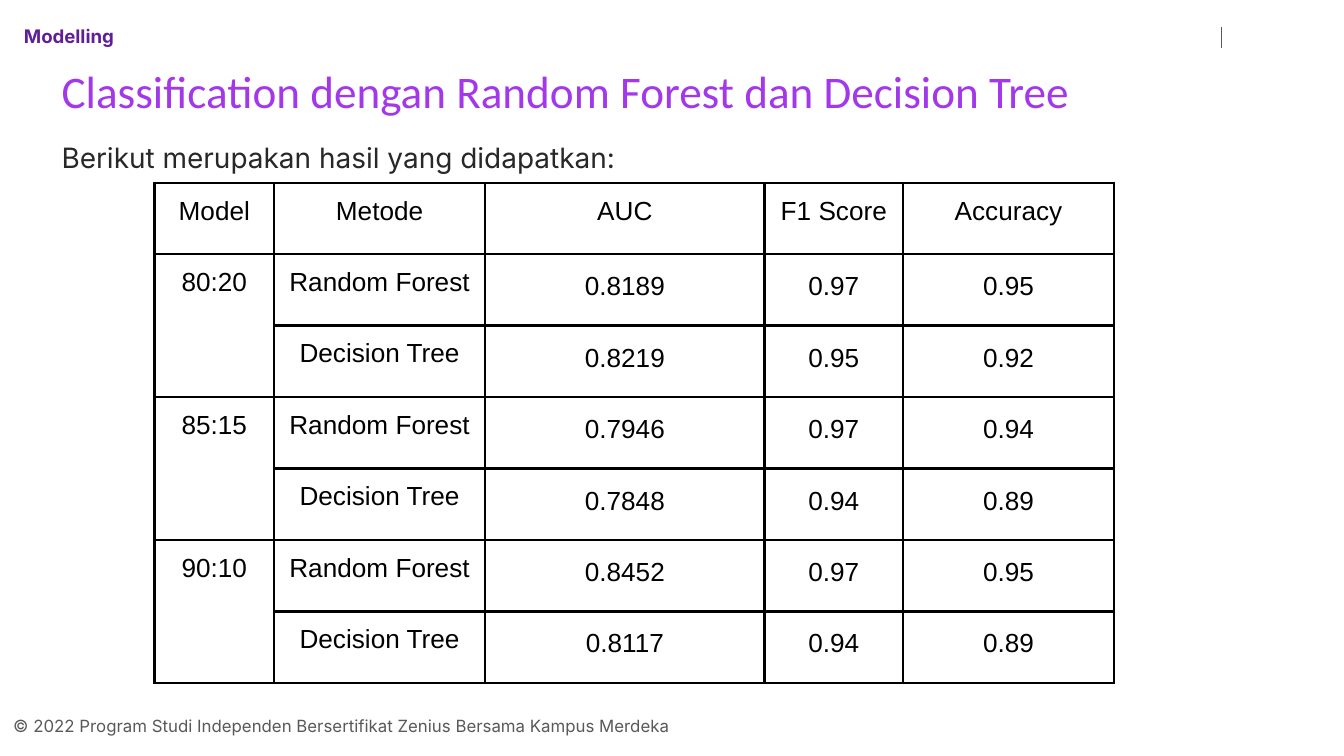
from lxml import etree
from pptx import Presentation
from pptx import util as u
from pptx.dml.color import RGBColor
from pptx.enum import shapes, text
from pptx.oxml import ns

WIDE, HIGH = u.Inches(10), u.Inches(5.625)
COL, ROW = WIDE / 100, HIGH / 100  # grid of 100 columns by 100 rows
PAD = u.Inches(0.1)

BLACK = RGBColor(0x00, 0x00, 0x00)
GRAY = RGBColor(0x59, 0x59, 0x59)
INK = RGBColor(0x28, 0x28, 0x28)
PLUM = RGBColor(0x60, 0x1F, 0x99)
VIOLET = RGBColor(0xA3, 0x38, 0xEB)

HEADS = ["Model", "Metode", "AUC", "F1 Score", "Accuracy"]
WIDTHS = [8.9, 15.7, 20.8, 10.3, 15.7]
METHODS = ["Random Forest", "Decision Tree"]
SCORES = {
    "80:20": [("0.8189", "0.97", "0.95"), ("0.8219", "0.95", "0.92")],
    "85:15": [("0.7946", "0.97", "0.94"), ("0.7848", "0.94", "0.89")],
    "90:10": [("0.8452", "0.97", "0.95"), ("0.8117", "0.94", "0.89")],
}


def place(box, left, top, wide, high):
    """Turn grid units counted from the box's corner into slide lengths."""
    return [round(n) for n in ((box[0] + left) * COL, (box[1] + top) * ROW,
                               wide * COL, high * ROW)]


def style(para, words, name, size, color, bold=False):
    para.text = words
    font = para.font
    font.name, font.size, font.bold = name, u.Pt(size), bold
    font.color.rgb = color


def pad(item):
    item.margin_left = item.margin_right = PAD
    item.margin_top = item.margin_bottom = PAD


def label(slide, spot, *look, bold=False, anchor=text.MSO_ANCHOR.TOP):
    frame = slide.shapes.add_textbox(*spot).text_frame
    frame.word_wrap = True
    frame.vertical_anchor = anchor
    pad(frame)
    para = frame.paragraphs[0]
    style(para, *look, bold=bold)
    return para


def header(slide, box):
    left, top, wide, high = place(box, 90.9, 3.56, 0, 2.84)
    rule = slide.shapes.add_connector(shapes.MSO_CONNECTOR.STRAIGHT,
                                      left, top, left + wide, top + high)
    rule.line.color.rgb, rule.line.width = GRAY, u.Pt(0.75)
    etree.SubElement(rule._element.spPr, ns.qn("a:effectLst"))
    label(slide, place(box, 0.8, 1.78, 66.5, 6.58),
          "Modelling", "Inter", 10, PLUM, bold=True)
    label(slide, place(box, 3.6, 6.04, 92.7, 11.73),
          "Classification dengan Random Forest dan Decision Tree",
          "Calibri", 24.2, VIOLET, anchor=text.MSO_ANCHOR.MIDDLE)


def border(cell):
    props = cell._tc.get_or_add_tcPr()
    for side in "LRTB":
        line = etree.SubElement(props, ns.qn(f"a:ln{side}"), w=str(u.Pt(1.5)))
        fill = etree.SubElement(line, ns.qn("a:solidFill"))
        etree.SubElement(fill, ns.qn("a:srgbClr"), val=str(BLACK))


def scores(slide, box):
    rows = [HEADS] + [
        [split if not n else "", METHODS[n], *marks]
        for split, pair in SCORES.items() for n, marks in enumerate(pair)]
    spot = place(box, 0, 0, box[2], box[3])
    table = slide.shapes.add_table(len(rows), len(HEADS), *spot).table
    table.first_row = table.horz_banding = False
    for col, wide in zip(table.columns, WIDTHS):
        col.width = round(wide * COL)
    for r, row in enumerate(rows):
        table.rows[r].height = round(spot[3] / len(rows))
        for c, words in enumerate(row):
            cell = table.cell(r, c)
            pad(cell)
            border(cell)
            cell.fill.background()
            para = cell.text_frame.paragraphs[0]
            style(para, words, "Arial", 14, BLACK)
            para.alignment = text.PP_ALIGN.CENTER
            if r and c > 1:
                para.line_spacing = 1.15
    for r in range(1, len(rows), len(METHODS)):
        table.cell(r, 0).merge(table.cell(r + len(METHODS) - 1, 0))


def body(slide, box):
    intro = label(slide, place(box, 0, 0, 56.1, 8),
                  "Berikut merupakan hasil yang didapatkan:", "Inter", 15, INK)
    intro.line_spacing = 1.15
    scores(slide, (box[0] + 7.9, box[1] + 8, sum(WIDTHS), box[3] - 8))


def footer(slide, box):
    label(slide, place(box, 0, 0, box[2], box[3]),
          "© 2022 Program Studi Independen Bersertifikat Zenius Bersama "
          "Kampus Merdeka", "Inter", 9, GRAY)


def main():
    deck = Presentation()
    deck.slide_width, deck.slide_height = WIDE, HIGH
    slide = deck.slides.add_slide(deck.slide_layouts[6])
    header(slide, (0, 0, 100, 17.77))
    body(slide, (3.6, 16.18, 92.7, 74.15))
    footer(slide, (0, 93.33, 97.8, 6.22))
    deck.save("out.pptx")


if __name__ == "__main__":
    main()
